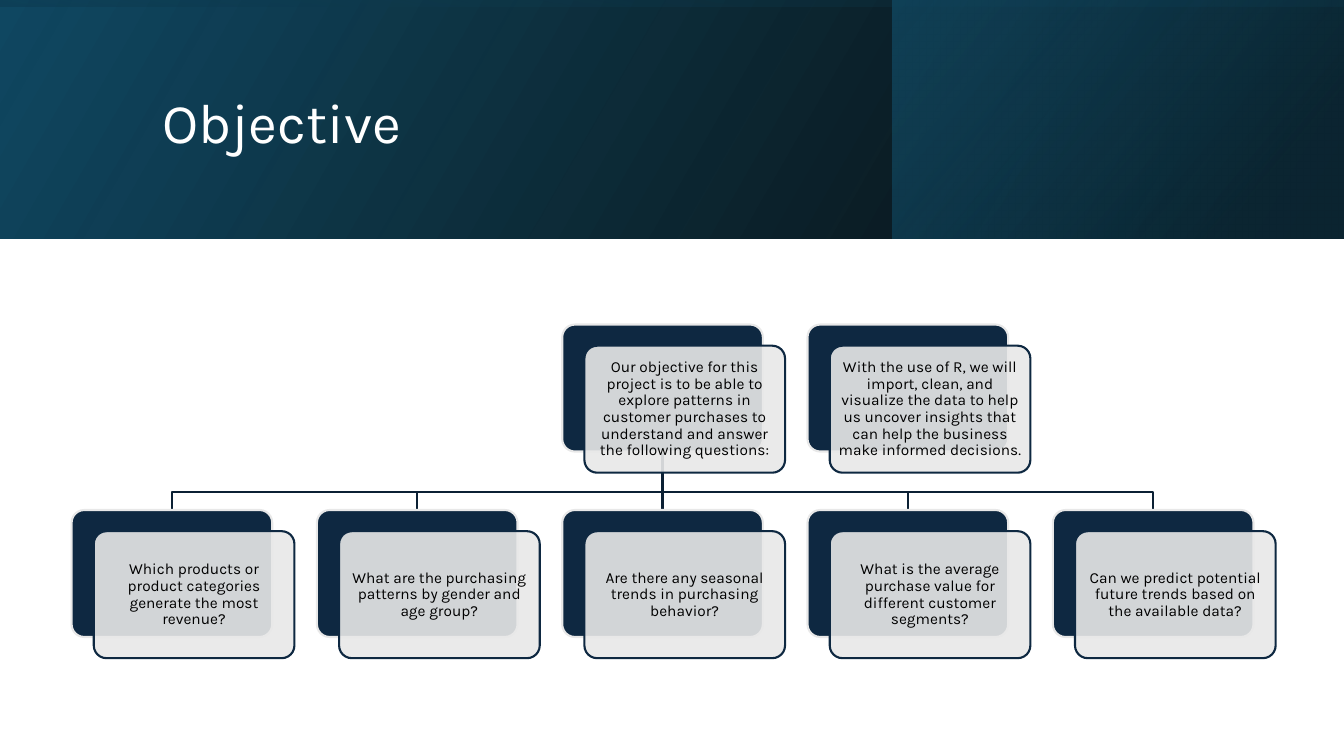
from pptx import Presentation
from pptx.dml.color import RGBColor
from pptx.enum.shapes import MSO_CONNECTOR, MSO_SHAPE
from pptx.enum.text import MSO_ANCHOR, PP_ALIGN
from pptx.oxml.ns import qn
from pptx.oxml.xmlchemy import OxmlElement
from pptx.util import Inches, Pt

WHITE = RGBColor(0xFF, 0xFF, 0xFF)
BLACK = RGBColor(0x00, 0x00, 0x00)
NAVY = RGBColor(0x0E, 0x28, 0x41)
DARK_NAVY = RGBColor(0x0B, 0x20, 0x34)
GRAY = RGBColor(0xE8, 0xE8, 0xE8)
TEAL = RGBColor(0x10, 0x48, 0x62)
DEEP_TEAL = RGBColor(0x0B, 0x30, 0x41)
BLUE = RGBColor(0x15, 0x60, 0x82)

FONT = "Karla"
SLIDE_W, SLIDE_H = 13.33, 7.5
BANNER_H = 2.37
ACCENT_W = 4.48
GRID_LEFT, GRID_TOP = 0.71, 3.22
COL_STEP, ROW_STEP = 2.433, 1.84
CARD_W, CARD_H = 1.99, 1.26
SHIFT_X, SHIFT_Y = 0.22, 0.21
ELBOW_DROP = 0.4
ROOT_COL = 2

GOALS = [
    "Our objective for this project is to be able to explore patterns in customer "
    "purchases to understand and answer the following questions:",
    "With the use of R, we will import, clean, and visualize the data to help us "
    "uncover insights that can help the business make informed decisions.",
]
QUESTIONS = [
    "Which products or product categories generate the most revenue?",
    "What are the purchasing patterns by gender and age group?",
    "Are there any seasonal trends in purchasing behavior?",
    "What is the average purchase value for different customer segments?",
    "Can we predict potential future trends based on the available data?",
]


def set_alpha(color, percent):
    alpha = OxmlElement("a:alpha")
    alpha.set("val", str(percent * 1000))
    color.append(alpha)


def add_box(slide, kind, x, y, w, h):
    sp = slide.shapes.add_shape(kind, Inches(x), Inches(y), Inches(w), Inches(h))
    sp.shadow.inherit = False
    return sp


def add_gradient_band(slide, x, y, w, h, stops, angle, rotation=0):
    sp = add_box(slide, MSO_SHAPE.RECTANGLE, x, y, w, h)
    sp.rotation = rotation
    sp.element.spPr.xfrm.set("flipH", "1")
    sp.line.fill.background()
    sp.fill.gradient()
    sp.fill.gradient_angle = angle
    for stop, (position, color, _) in zip(sp.fill.gradient_stops, stops):
        stop.position = position
        stop.color.rgb = color
    colors = list(sp.element.spPr.iter(qn("a:srgbClr")))
    for color, (_, _, opacity) in zip(colors, stops):
        set_alpha(color, opacity)


def add_banner(slide):
    add_gradient_band(slide, 0, 0, SLIDE_W, BANNER_H,
                      [(0, BLACK, 96), (1, TEAL, 100)], 30)
    add_gradient_band(slide, SLIDE_W - ACCENT_W, 0, ACCENT_W, BANNER_H,
                      [(0.19, DEEP_TEAL, 68), (1, BLUE, 48)], 40)
    middle = (SLIDE_W - BANNER_H) / 2
    add_gradient_band(slide, middle, -middle, BANNER_H, SLIDE_W,
                      [(0.23, TEAL, 16), (0.99, BLACK, 45)], 10, 270)


def write(tf, text, size, color, align):
    tf.word_wrap = True
    tf.vertical_anchor = MSO_ANCHOR.MIDDLE
    p = tf.paragraphs[0]
    p.alignment = align
    p.line_spacing = 0.9
    r = p.add_run()
    r.text = text
    r.font.name = FONT
    r.font.size = Pt(size)
    r.font.color.rgb = color


def add_title(slide, text):
    box = slide.shapes.add_textbox(Inches(1.51), Inches(0.38), Inches(10.63), Inches(1.72))
    write(box.text_frame, text, 40, WHITE, PP_ALIGN.LEFT)


def card_origin(col, row):
    return GRID_LEFT + col * COL_STEP, GRID_TOP + row * ROW_STEP


def style_card(sp, fill, line):
    sp.adjustments[0] = 0.1
    sp.fill.solid()
    sp.fill.fore_color.rgb = fill
    sp.line.color.rgb = line
    sp.line.width = Pt(1.5)


def add_card(slide, col, row, text):
    x, y = card_origin(col, row)
    back = add_box(slide, MSO_SHAPE.ROUNDED_RECTANGLE, x, y, CARD_W, CARD_H)
    style_card(back, NAVY, GRAY)
    front = add_box(slide, MSO_SHAPE.ROUNDED_RECTANGLE,
                    x + SHIFT_X, y + SHIFT_Y, CARD_W, CARD_H)
    style_card(front, GRAY, NAVY)
    set_alpha(next(front.element.spPr.iter(qn("a:srgbClr"))), 90)
    tf = front.text_frame
    tf.margin_left = tf.margin_right = tf.margin_top = tf.margin_bottom = Inches(0.05)
    write(tf, text, 11, BLACK, PP_ALIGN.CENTER)
    return back


def add_branch(slide, col):
    root_x, root_y = card_origin(ROOT_COL, 0)
    child_x, child_y = card_origin(col, 1)
    start_x, end_x = root_x + CARD_W / 2, child_x + CARD_W / 2
    start_y = root_y + CARD_H
    bend_y = start_y + ELBOW_DROP
    builder = slide.shapes.build_freeform(Inches(start_x), Inches(start_y))
    points = [(start_x, bend_y), (end_x, bend_y), (end_x, child_y)]
    builder.add_line_segments([(Inches(x), Inches(y)) for x, y in points], close=False)
    sp = builder.convert_to_shape()
    sp.shadow.inherit = False
    sp.fill.background()
    sp.line.color.rgb = DARK_NAVY
    sp.line.width = Pt(1.5)


def add_stem(slide, root, child):
    stem = slide.shapes.add_connector(MSO_CONNECTOR.STRAIGHT, 0, 0, 0, 0)
    stem.begin_connect(root, 2)
    stem.end_connect(child, 0)
    stem.line.color.rgb = DARK_NAVY
    stem.line.width = Pt(1.5)
    stem.element.spPr.append(OxmlElement("a:effectLst"))
    root.element.addprevious(stem.element)


def main():
    prs = Presentation()
    prs.slide_width, prs.slide_height = Inches(SLIDE_W), Inches(SLIDE_H)
    s = prs.slides.add_slide(prs.slide_layouts[6])
    add_banner(s)
    add_title(s, "Objective")
    for col in range(len(QUESTIONS)):
        if col != ROOT_COL:
            add_branch(s, col)
    goals = [add_card(s, ROOT_COL + i, 0, text) for i, text in enumerate(GOALS)]
    questions = [add_card(s, col, 1, text) for col, text in enumerate(QUESTIONS)]
    add_stem(s, goals[0], questions[ROOT_COL])
    prs.save("out.pptx")


if __name__ == "__main__":
    main()
